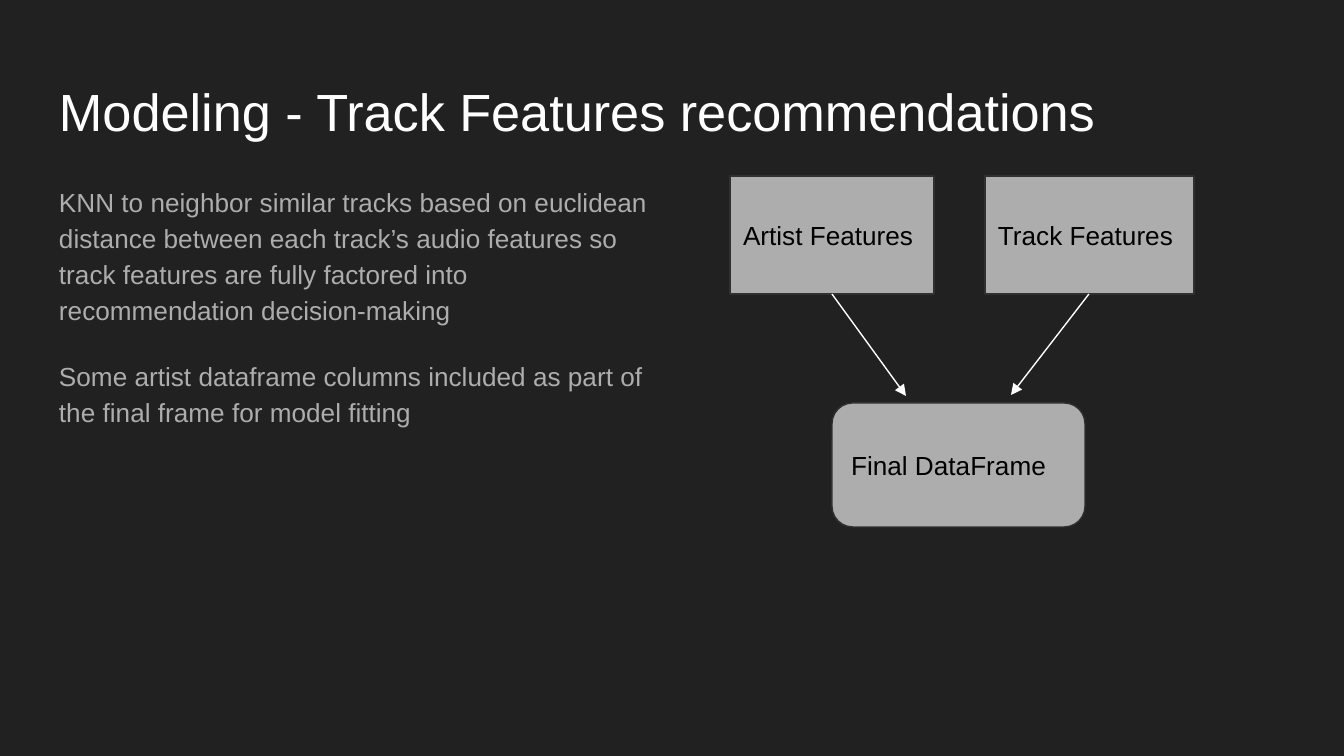
from dataclasses import dataclass

from lxml.etree import SubElement
from pptx import Presentation
from pptx.dml.color import RGBColor
from pptx.enum.shapes import MSO_CONNECTOR, MSO_SHAPE
from pptx.enum.text import MSO_ANCHOR, PP_ALIGN
from pptx.oxml.ns import qn
from pptx.util import Emu, Pt

EMU_PER_PIXEL = 914400 / 134.4
FONT = "Arial"
INSET = 13
BACKGROUND, WHITE, GRAY, OUTLINE, BLACK = "212121", "FFFFFF", "ADADAD", "303030", "000000"


@dataclass
class Box:
    """A labelled box of the diagram, in pixels."""
    label: str
    left: int
    top: int
    width: int
    height: int
    kind: MSO_SHAPE = MSO_SHAPE.RECTANGLE

    @property
    def bottom_center(self) -> tuple[int, int]:
        """Return the middle of the lower edge."""
        return self.left + self.width // 2, self.top + self.height


@dataclass
class Arrow:
    """An arrow from the bottom of a box to a point."""
    source: Box
    end: tuple[int, int]


def px(pixels: int) -> Emu:
    """Turn pixels into EMU."""
    return Emu(round(pixels * EMU_PER_PIXEL))


def color(value: str) -> RGBColor:
    """Turn a hex string into a colour."""
    return RGBColor.from_string(value)


def write_text(shape, texts: list[str], size: int, text_color: str,
               line_spacing: float = 1.0, gap: int = 0) -> None:
    """Fill a shape with left-aligned paragraphs, with a gap between them."""
    frame = shape.text_frame
    frame.word_wrap = True
    frame.margin_left = frame.margin_right = px(INSET)
    frame.margin_top = frame.margin_bottom = px(INSET)
    for index, text in enumerate(texts):
        paragraph = frame.add_paragraph() if index else frame.paragraphs[0]
        paragraph.text = text
        paragraph.alignment = PP_ALIGN.LEFT
        paragraph.line_spacing = line_spacing
        paragraph.space_before = Pt(gap if index else 0)
        paragraph.font.name = FONT
        paragraph.font.size = Pt(size)
        paragraph.font.color.rgb = color(text_color)


def add_box(slide, box: Box) -> None:
    """Draw a box with its label."""
    shape = slide.shapes.add_shape(
        box.kind, px(box.left), px(box.top), px(box.width), px(box.height))
    shape.shadow.inherit = False
    shape.fill.solid()
    shape.fill.fore_color.rgb = color(GRAY)
    shape.line.color.rgb = color(OUTLINE)
    shape.line.width = Pt(0.75)
    shape.text_frame.vertical_anchor = MSO_ANCHOR.MIDDLE
    write_text(shape, [box.label], 14, BLACK)


def add_arrow(slide, arrow: Arrow) -> None:
    """Draw a straight arrow with a triangular head."""
    points = [px(value) for value in (*arrow.source.bottom_center, *arrow.end)]
    connector = slide.shapes.add_connector(MSO_CONNECTOR.STRAIGHT, *points)
    connector.line.color.rgb = color(WHITE)
    connector.line.width = Pt(0.75)
    SubElement(connector.line._get_or_add_ln(), qn("a:tailEnd"), type="triangle")
    SubElement(connector._element.spPr, qn("a:effectLst"))


ARTIST = Box("Artist Features", 730, 176, 204, 118)
TRACK = Box("Track Features", 985, 176, 209, 118)
FINAL = Box("Final DataFrame", 832, 403, 253, 124, MSO_SHAPE.ROUNDED_RECTANGLE)
ARROWS = [Arrow(ARTIST, (906, 396)), Arrow(TRACK, (1011, 395))]
BODY = [
    "KNN to neighbor similar tracks based on euclidean distance between each "
    "track’s audio features so track features are fully factored into "
    "recommendation decision-making",
    "Some artist dataframe columns included as part of the final frame for model fitting",
]

presentation = Presentation()
presentation.slide_width, presentation.slide_height = px(1344), px(756)
slide = presentation.slides.add_slide(presentation.slide_layouts[6])
slide.background.fill.solid()
slide.background.fill.fore_color.rgb = color(BACKGROUND)

title = slide.shapes.add_textbox(px(46), px(66), px(1252), px(84))
write_text(title, ["Modeling - Track Features recommendations"], 28, WHITE)
body = slide.shapes.add_textbox(px(46), px(169), px(626), px(502))
write_text(body, BODY, 14, GRAY, line_spacing=1.15, gap=16)

for box in (ARTIST, TRACK, FINAL):
    add_box(slide, box)
for arrow in ARROWS:
    add_arrow(slide, arrow)

presentation.save("out.pptx")
